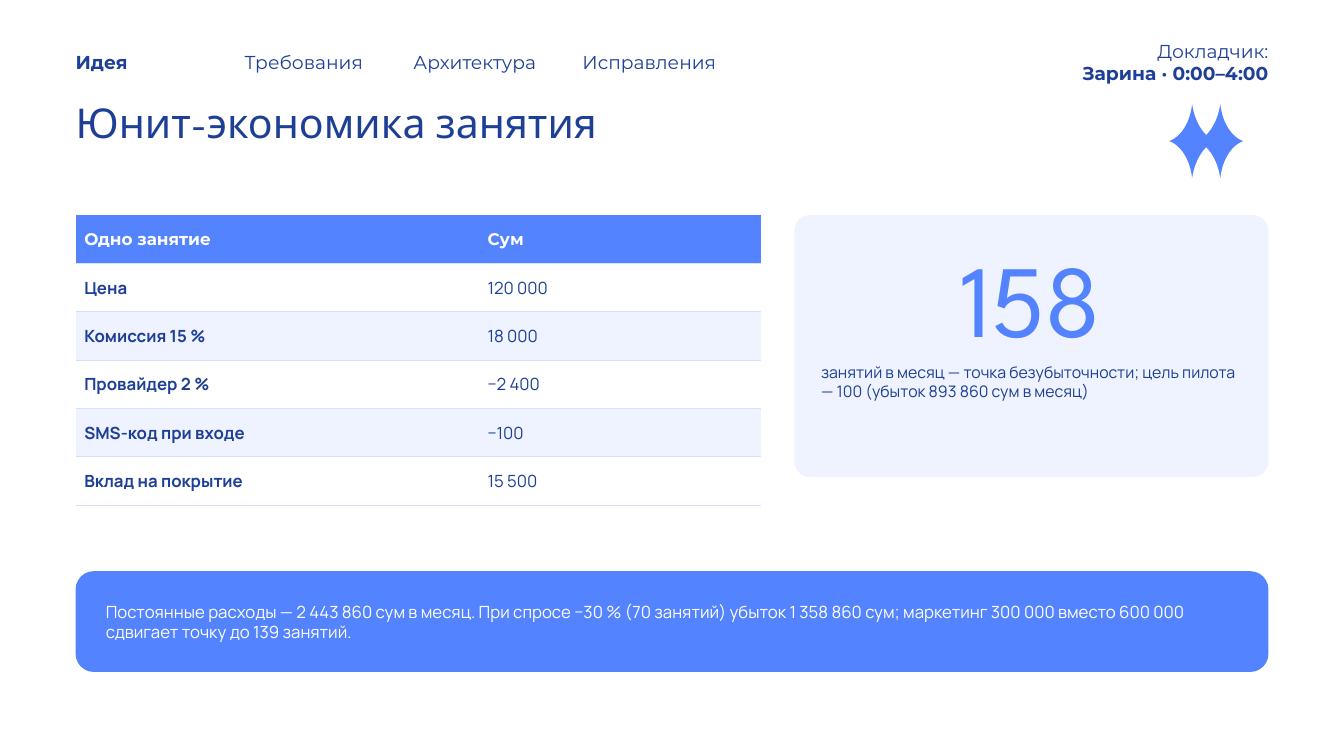
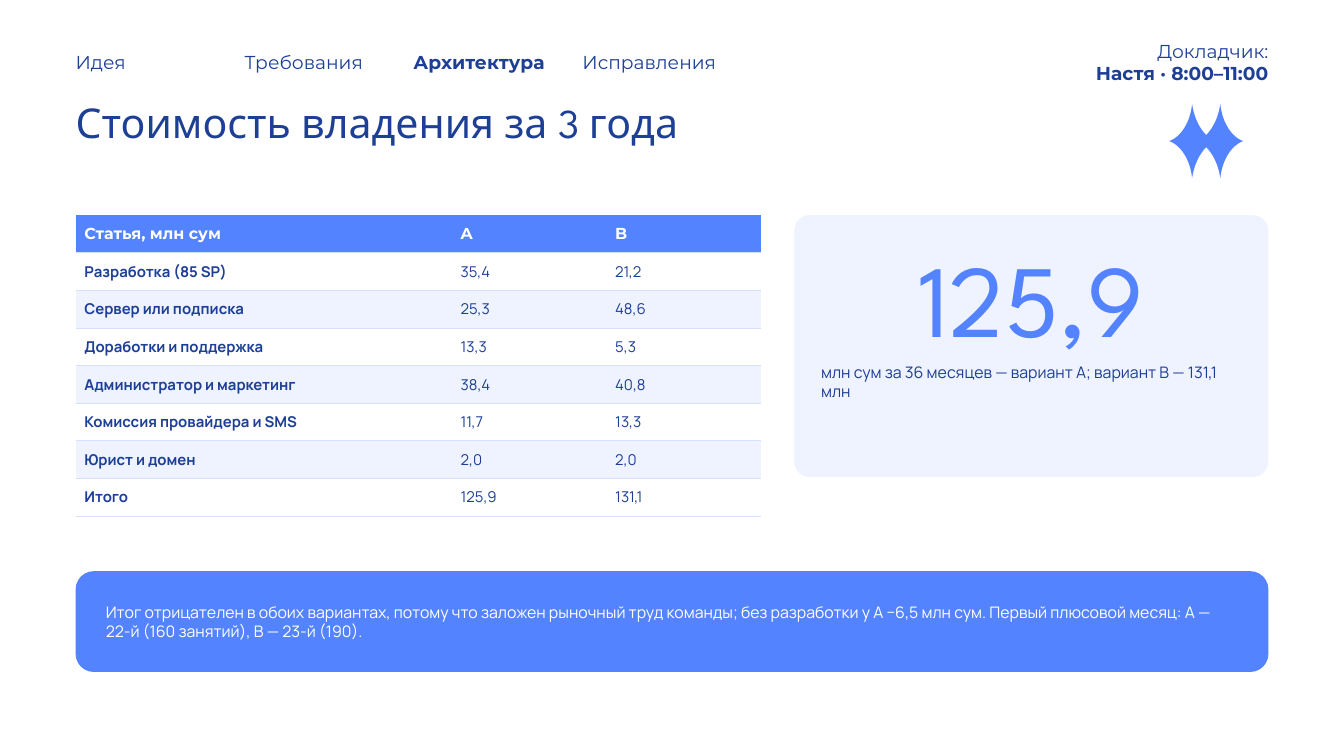
import dataclasses

import pptx
import pptx.dml.color
import pptx.enum.shapes
import pptx.enum.text
import pptx.oxml
import pptx.oxml.ns
import pptx.util

Pt = pptx.util.Pt
Align = pptx.enum.text.PP_ALIGN
Anchor = pptx.enum.text.MSO_ANCHOR


@dataclasses.dataclass(frozen=True)
class Theme:
    # Colours
    navy: str = "1E3F96"
    blue: str = "5383FF"
    pale: str = "EEF3FF"
    rule: str = "D5E0FF"
    white: str = "FFFFFF"
    # Fonts
    display: str = "League Spartan"
    heading: str = "Montserrat"
    body: str = "Manrope"
    # Type sizes
    nav_size: int = 20
    title_size: int = 44
    figure_size: int = 110
    large_size: int = 18
    medium_size: int = 17
    small_size: int = 16
    # Page frame
    width: int = 1440
    height: int = 810
    margin: int = 81


THEME = Theme()
CONTENT_WIDTH = THEME.width - 2 * THEME.margin
RIGHT = THEME.width - THEME.margin
CONTENT_TOP = 230.4
SECTIONS = ["Идея", "Требования", "Архитектура", "Исправления"]
NO_TABLE_STYLE = "{2D5ABB26-0587-4C30-8999-92F81FD0307C}"

# One quarter of the double star, as Bezier control points around its centre
STAR_CURVES = [
    [(39.6, 0), (27.4, -4.3), (17.3, -19.4), (15.1, -39.6)],
    [(15.1, -39.6), (13, -25.2), (7.2, -13.7), (0, -6.5)],
]


def colour(value):
    return pptx.dml.color.RGBColor.from_string(value)


def bezier(points, steps=12):
    """Points along a cubic curve, without its end point."""
    for step in range(steps):
        t = step / steps
        weights = ((1 - t) ** 3, 3 * t * (1 - t) ** 2, 3 * t * t * (1 - t), t ** 3)
        yield tuple(sum(w * p[axis] for w, p in zip(weights, points)) for axis in (0, 1))


class SlideBuilder:
    def __init__(self, presentation, theme):
        self.presentation = presentation
        self.theme = theme
        self.slide = None

    def new_slide(self, title):
        self.slide = self.presentation.slides.add_slide(self.presentation.slide_layouts[5])
        fill = self.slide.background.fill
        fill.solid()
        fill.fore_color.rgb = colour(self.theme.white)
        shape = self.slide.shapes.title
        shape.left, shape.top = Pt(self.theme.margin), Pt(104.4)
        shape.width, shape.height = Pt(1094.4), Pt(93.6)
        self.fill_frame(shape.text_frame, title, self.theme.title_size, self.theme.display)

    def add_run(self, frame, text, size, font, ink=None, bold=False, align=Align.LEFT):
        paragraph = frame.paragraphs[0]
        paragraph.alignment = align
        run = paragraph.add_run()
        run.text = text
        run.font.size = Pt(size)
        run.font.name = font
        run.font.bold = bold
        run.font.color.rgb = colour(ink or self.theme.navy)
        return paragraph

    def fill_frame(self, frame, text, size, font, anchor=Anchor.TOP, **style):
        frame.word_wrap = True
        frame.auto_size = pptx.enum.text.MSO_AUTO_SIZE.SHAPE_TO_FIT_TEXT
        frame.vertical_anchor = anchor
        frame.margin_left = frame.margin_right = frame.margin_top = frame.margin_bottom = 0
        return self.add_run(frame, text, size, font, **style)

    def text(self, left, top, width, height, text, size, font, **style):
        box = self.slide.shapes.add_textbox(Pt(left), Pt(top), Pt(width), Pt(height))
        return self.fill_frame(box.text_frame, text, size, font, **style)

    def paint(self, shape, fill):
        shape.shadow.inherit = False
        shape.fill.solid()
        shape.fill.fore_color.rgb = colour(fill)
        shape.line.fill.background()

    def panel(self, left, top, width, height, fill, rounding):
        shape = self.slide.shapes.add_shape(
            pptx.enum.shapes.MSO_SHAPE.ROUNDED_RECTANGLE,
            Pt(left), Pt(top), Pt(width), Pt(height))
        shape.adjustments[0] = rounding
        self.paint(shape, fill)

    def star(self, centre_x, centre_y):
        quarter = [point for curve in STAR_CURVES for point in bezier(curve)]
        quarter.append(STAR_CURVES[-1][-1])
        top_half = quarter + [(-x, y) for x, y in reversed(quarter)]
        outline = top_half + [(x, -y) for x, y in reversed(top_half)]
        points = [(Pt(centre_x + x), Pt(centre_y + y)) for x, y in outline]
        builder = self.slide.shapes.build_freeform(*points[0])
        builder.add_line_segments(points[1:], close=True)
        self.paint(builder.convert_to_shape(), self.theme.blue)

    def header(self, section, speaker):
        theme = self.theme
        for index, name in enumerate(SECTIONS):
            paragraph = self.text(theme.margin + 181 * index, 54, 165.6, 28.8, name,
                                  theme.nav_size, theme.heading, bold=name == section)
            paragraph.space_after = Pt(6)
        for top, line, bold in ((42.5, "Докладчик:", False), (66.2, speaker, True)):
            self.text(RIGHT - 322.5, top, 322.5, 26.6, line, theme.nav_size,
                      theme.heading, bold=bold, align=Align.RIGHT)
        self.star(1292.4, 151.2)

    def cell(self, cell, text, fill, size, font, ink, bold):
        cell.fill.solid()
        cell.fill.fore_color.rgb = colour(fill)
        cell.vertical_anchor = Anchor.MIDDLE
        cell.margin_left = cell.margin_right = Pt(9.36)
        cell.margin_top = cell.margin_bottom = Pt(4.32)
        self.add_run(cell.text_frame, text, size, font, ink=ink, bold=bold)
        border = pptx.oxml.parse_xml(
            f'<a:lnB {pptx.oxml.ns.nsdecls("a")} w="{Pt(1)}"><a:solidFill>'
            f'<a:srgbClr val="{self.theme.rule}"/></a:solidFill></a:lnB>')
        cell._tc.get_or_add_tcPr().insert(0, border)

    def table(self, rows, column_widths, row_height, header_size, body_size):
        theme = self.theme
        table = self.slide.shapes.add_table(
            len(rows), len(column_widths), Pt(theme.margin), Pt(CONTENT_TOP),
            Pt(sum(column_widths)), Pt(row_height * len(rows))).table
        table.horz_banding = False
        style = table._tbl.tblPr.find(pptx.oxml.ns.qn("a:tableStyleId"))
        style.text = NO_TABLE_STYLE
        for column, width in zip(table.columns, column_widths):
            column.width = Pt(width)
        for row_index, values in enumerate(rows):
            table.rows[row_index].height = Pt(row_height)
            for column_index, value in enumerate(values):
                cell = table.cell(row_index, column_index)
                if row_index == 0:
                    self.cell(cell, value, theme.blue, header_size, theme.heading,
                              theme.white, True)
                else:
                    fill = theme.white if row_index % 2 else theme.pale
                    self.cell(cell, value, fill, body_size, theme.body,
                              theme.navy, column_index == 0)

    def key_figure(self, figure, caption):
        theme = self.theme
        left, width = 851, 508
        self.panel(left, CONTENT_TOP, width, 280.8, theme.pale, 0.06)
        self.text(left, 252, width, 108, figure, theme.figure_size, theme.display,
                  ink=theme.blue, align=Align.CENTER)
        self.text(left + 28.8, 388.8, width - 57.6, 122.4, caption,
                  theme.medium_size, theme.body)

    def conclusion(self, text, size):
        theme = self.theme
        self.panel(theme.margin, 612, CONTENT_WIDTH, 108, theme.blue, 0.18)
        self.text(theme.margin + 32.4, 612, CONTENT_WIDTH - 64.8, 108, text, size,
                  theme.body, ink=theme.white, anchor=Anchor.MIDDLE)


def unit_economics(builder):
    builder.new_slide("Юнит-экономика занятия")
    builder.header("Идея", "Зарина · 0:00–4:00")
    rows = [
        ("Одно занятие", "Сум"),
        ("Цена", "120 000"),
        ("Комиссия 15 %", "18 000"),
        ("Провайдер 2 %", "−2 400"),
        ("SMS-код при входе", "−100"),
        ("Вклад на покрытие", "15 500"),
    ]
    builder.table(rows, (432, 302.4), 51.84, THEME.large_size, THEME.large_size)
    builder.key_figure("158", "занятий в месяц — точка безубыточности; "
                              "цель пилота — 100 (убыток 893 860 сум в месяц)")
    builder.conclusion(
        "Постоянные расходы — 2 443 860 сум в месяц. При спросе −30 % (70 занятий) "
        "убыток 1 358 860 сум; маркетинг 300 000 вместо 600 000 "
        "сдвигает точку до 139 занятий.", THEME.large_size)


def ownership_cost(builder):
    builder.new_slide("Стоимость владения за 3 года")
    builder.header("Архитектура", "Настя · 8:00–11:00")
    rows = [
        ("Статья, млн сум", "A", "B"),
        ("Разработка (85 SP)", "35,4", "21,2"),
        ("Сервер или подписка", "25,3", "48,6"),
        ("Доработки и поддержка", "13,3", "5,3"),
        ("Администратор и маркетинг", "38,4", "40,8"),
        ("Комиссия провайдера и SMS", "11,7", "13,3"),
        ("Юрист и домен", "2,0", "2,0"),
        ("Итого", "125,9", "131,1"),
    ]
    builder.table(rows, (403.2, 165.6, 165.6), 40.32, THEME.medium_size, THEME.small_size)
    builder.key_figure("125,9", "млн сум за 36 месяцев — вариант A; вариант B — 131,1 млн")
    builder.conclusion(
        "Итог отрицателен в обоих вариантах, потому что заложен рыночный труд команды; "
        "без разработки у A −6,5 млн сум. Первый плюсовой месяц: A — 22-й (160 занятий), "
        "B — 23-й (190).", THEME.medium_size)


def main():
    presentation = pptx.Presentation()
    presentation.slide_width = Pt(THEME.width)
    presentation.slide_height = Pt(THEME.height)
    builder = SlideBuilder(presentation, THEME)
    unit_economics(builder)
    ownership_cost(builder)
    presentation.save("out.pptx")


if __name__ == "__main__":
    main()
